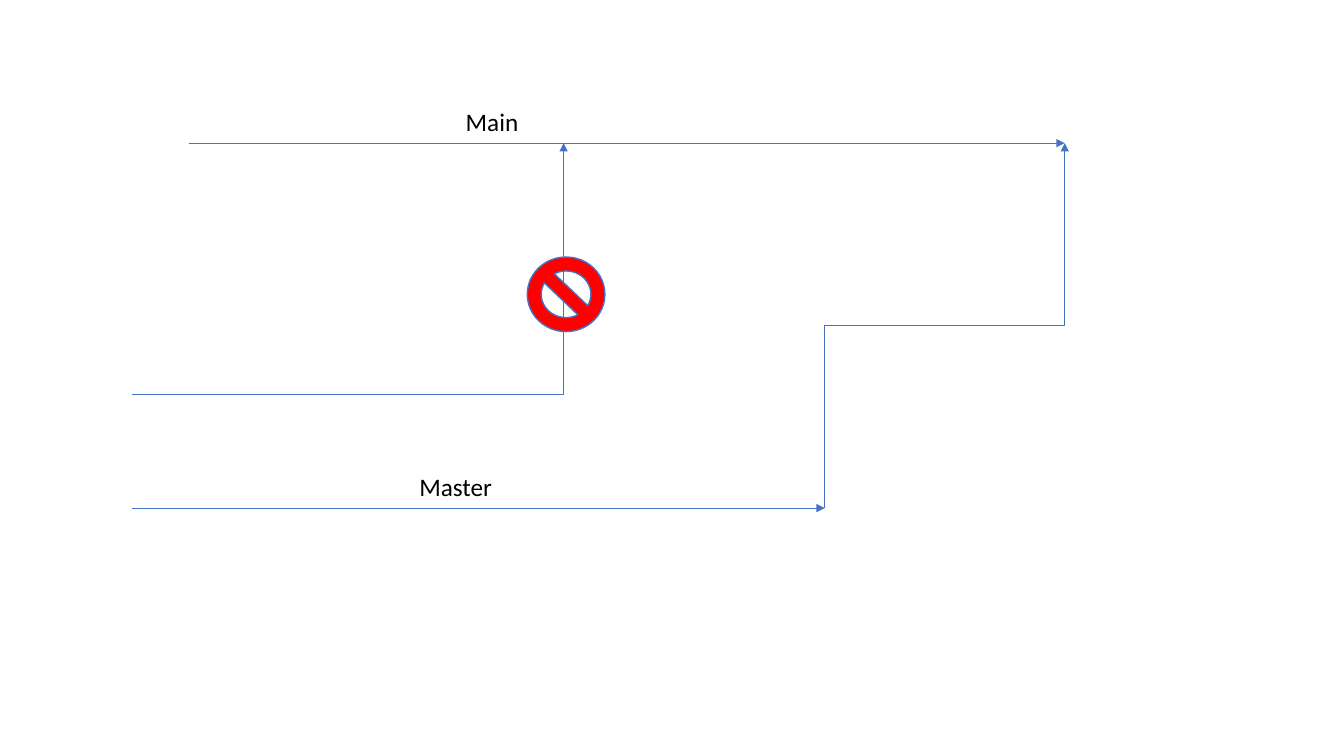
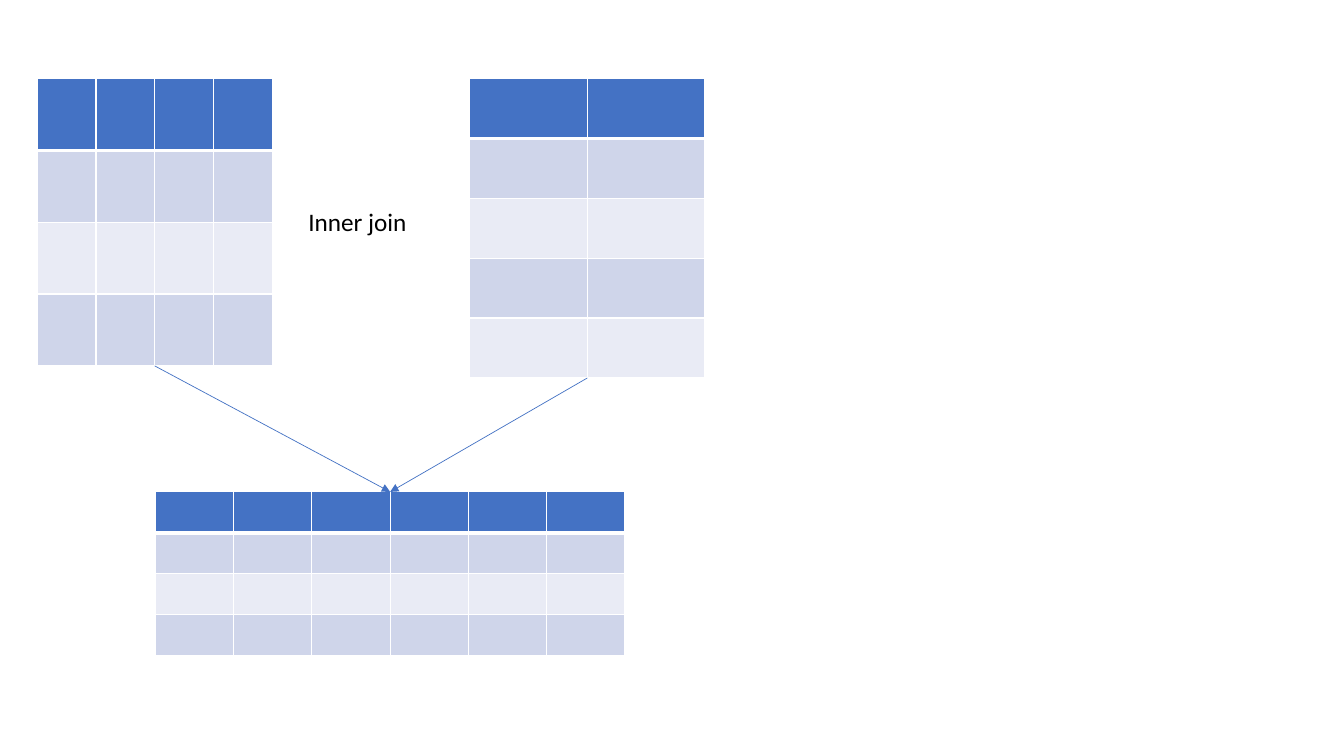
from lxml import etree
from pptx import Presentation
from pptx.dml.color import RGBColor
from pptx.enum.shapes import MSO_CONNECTOR, MSO_SHAPE
from pptx.oxml.ns import qn
from pptx.util import Inches, Pt

STRAIGHT, ELBOW = MSO_CONNECTOR.STRAIGHT, MSO_CONNECTOR.ELBOW
NO_SYMBOL = MSO_SHAPE.NO_SYMBOL
BLUE, RED, BLACK, WHITE = "4472C4", "FF0000", "000000", "FFFFFF"
BANDS = ("CFD5EA", "E9EBF5")
LABEL_FONT = {"name": "Calibri", "size": Pt(18)}
TOP, BOTTOM = 0, 2


def rgb(value):
    return RGBColor.from_string(value)


def add_label(s, text, x, y, w):
    tf = s.shapes.add_textbox(Inches(x), Inches(y), Inches(w), Inches(0.4)).text_frame
    tf.word_wrap = True
    r = tf.paragraphs[0].add_run()
    r.text = text
    for name, value in LABEL_FONT.items():
        setattr(r.font, name, value)
    r.font.color.rgb = rgb(BLACK)


def add_arrow(s, start, end, kind=STRAIGHT):
    c = s.shapes.add_connector(kind, *(Inches(v) for v in (*start, *end)))
    c.line.color.rgb = rgb(BLUE)
    c.line.width = Pt(0.5)
    etree.SubElement(c.line._get_or_add_ln(), qn("a:tailEnd"), type="triangle")
    etree.SubElement(c._element.spPr, qn("a:effectLst"))
    return c


def add_corner_arrow(s, start, end):
    c = add_arrow(s, start, end, ELBOW)
    c._element.spPr.find(qn("a:prstGeom")).set("prst", "bentConnector2")


def add_step_arrow(s, start, end):
    (x1, y1), (x2, y2) = start, end
    cx, cy = (x1 + x2) / 2, (y1 + y2) / 2
    dx, dy = (y1 - y2) / 2, (x2 - x1) / 2
    c = add_arrow(s, (cx + dx, cy + dy), (cx - dx, cy - dy), ELBOW)
    c._element.spPr.find(qn("a:xfrm")).set("rot", "5400000")


def add_no_sign(s, x, y, w, h):
    sp = s.shapes.add_shape(NO_SYMBOL, Inches(x), Inches(y), Inches(w), Inches(h))
    sp.shadow.inherit = False
    sp.fill.solid()
    sp.fill.fore_color.rgb = rgb(RED)
    sp.line.color.rgb = rgb(BLUE)
    sp.line.width = Pt(1)


def format_cell(cell, row):
    tcPr = cell._tc.get_or_add_tcPr()
    widths = {"L": 1, "R": 1, "T": 3 if row == 1 else 1, "B": 3 if row == 0 else 1}
    for side, width in widths.items():
        ln = etree.SubElement(tcPr, qn(f"a:ln{side}"), w=str(Pt(width)))
        fill = etree.SubElement(ln, qn("a:solidFill"))
        etree.SubElement(fill, qn("a:srgbClr"), val=WHITE)
    cell.fill.solid()
    cell.fill.fore_color.rgb = rgb(BANDS[(row - 1) % 2] if row else BLUE)


def add_grid(s, rows, cols, x, y, w, h):
    frame = s.shapes.add_table(rows, cols, Inches(x), Inches(y), Inches(w), Inches(h))
    for i, row in enumerate(frame.table.rows):
        for cell in row.cells:
            format_cell(cell, i)
    return frame


def add_table_link(s, source, target):
    c = add_arrow(s, (0, 0), (1, 1))
    c.begin_connect(source, BOTTOM)
    c.end_connect(target, TOP)


def build_branches(s):
    main_end, master_end = (10.56, 1.42), (8.18, 5.04)
    add_arrow(s, (1.87, 1.42), main_end)
    add_label(s, "Main", 4.52, 1.01, 2.15)
    add_corner_arrow(s, (1.31, 3.91), (5.59, 1.42))
    add_no_sign(s, 5.23, 2.55, 0.77, 0.74)
    add_arrow(s, (1.31, 5.04), master_end)
    add_label(s, "Master", 4.06, 4.63, 2.15)
    add_step_arrow(s, master_end, main_end)


def build_join(s):
    left = add_grid(s, 4, 4, 0.37, 0.78, 2.33, 2.85)
    right = add_grid(s, 5, 2, 4.66, 0.78, 2.33, 2.97)
    joined = add_grid(s, 4, 6, 1.54, 4.88, 4.66, 1.62)
    add_label(s, "Inner join", 2.96, 2, 1.44)
    for source in (right, left):
        add_table_link(s, source, joined)


def main():
    prs = Presentation()
    prs.slide_width, prs.slide_height = Inches(13.33), Inches(7.5)
    blank = prs.slide_layouts[6]
    for build in (build_branches, build_join):
        build(prs.slides.add_slide(blank))
    prs.save("out.pptx")


if __name__ == "__main__":
    main()
